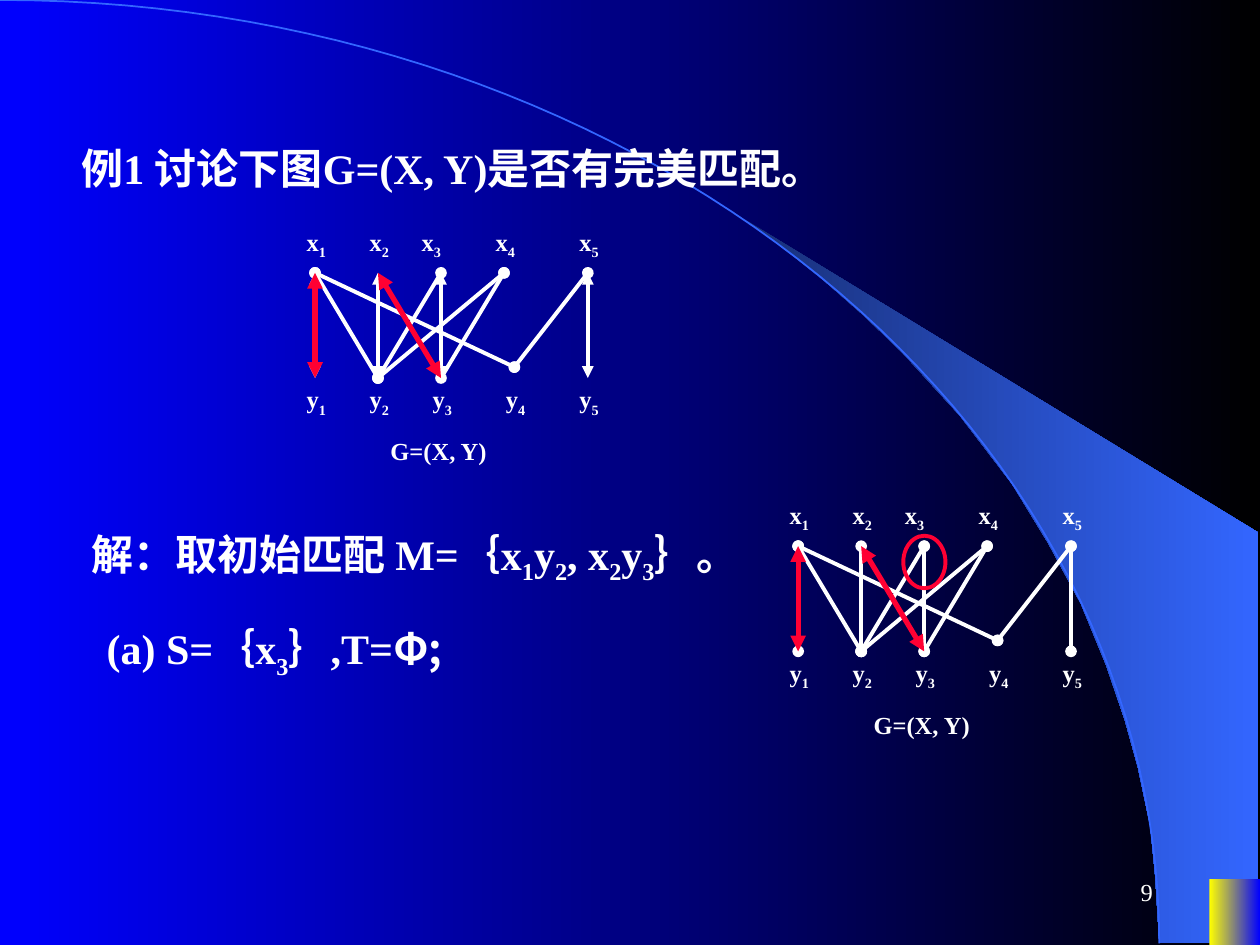
from lxml import etree
from pptx import Presentation
from pptx.dml.color import RGBColor
from pptx.enum.shapes import MSO_CONNECTOR, MSO_SHAPE
from pptx.enum.text import MSO_ANCHOR, PP_ALIGN
from pptx.oxml.ns import qn
from pptx.util import Cm, Pt

STRAIGHT = MSO_CONNECTOR.STRAIGHT
RECTANGLE, OVAL = MSO_SHAPE.RECTANGLE, MSO_SHAPE.OVAL
TOP, MIDDLE = MSO_ANCHOR.TOP, MSO_ANCHOR.MIDDLE
LEFT, RIGHT = PP_ALIGN.LEFT, PP_ALIGN.RIGHT

SERIF, CJK = "Times New Roman", "Noto Sans CJK SC"
WHITE, RED, BLUE, SKY = "FFFFFF", "FF0033", "0000FF", "3366FF"

# Node positions relative to x1, in cm
COLUMNS = [0, 1.27, 2.54, 3.81, 5.5]
ROW_GAP = 2.12
NODES = {f"x{i}": (x, 0) for i, x in enumerate(COLUMNS, 1)}
NODES |= {f"y{i}": (x, ROW_GAP) for i, x in enumerate(COLUMNS, 1)}
NODES["y4"] = (4.02, 1.9)

VERTICAL_EDGES = ["x1y1", "x2y2", "x3y3", "x5y5"]
SLANTED_EDGES = ["x1y2", "y2x3", "x5y4", "x1y4", "x4y3", "x4y2"]
MATCHING = ["x2y3", "x1y1"]

SWEEP = [(23.37, 19), (25.37, 19.02), (25.37, 10.74), (14.96, 4.39),
         (15.85, 5.05), (16.59, 5.64), (17.4, 6.35), (18.19, 7.11),
         (19.35, 8.38), (20.4, 9.75), (21.13, 10.95), (21.79, 12.17),
         (22.3, 13.41), (22.68, 14.53), (22.94, 15.47), (23.19, 16.66),
         (23.29, 17.68)]
ARC_CONTROLS = [(0, 0), (12.9, 0), (23.37, 8.51), (23.37, 19.02)]


def color(value):
    return RGBColor.from_string(value)


def fill_gradient(fill, start, end):
    fill.gradient()
    fill.gradient_angle = 0
    for stop, value in zip(fill.gradient_stops, (start, end)):
        stop.color.rgb = color(value)


def bezier(points, steps=60):
    """Points along a cubic curve."""
    def at(t):
        weights = ((1 - t) ** 3, 3 * t * (1 - t) ** 2, 3 * t * t * (1 - t), t ** 3)
        return tuple(sum(w * p[axis] for w, p in zip(weights, points))
                     for axis in (0, 1))
    return [at(i / steps) for i in range(steps + 1)]


def add_outline(shapes, points, closed):
    corners = [(Cm(x), Cm(y)) for x, y in points]
    builder = shapes.build_freeform(*corners[0])
    builder.add_line_segments(corners[1:], close=closed)
    outline = builder.convert_to_shape()
    outline.shadow.inherit = False
    return outline


def add_runs(paragraph, text, size=14, bold=True, font=SERIF):
    """Add text; the character after each underscore is a subscript."""
    first, *rest = text.split("_")
    pieces = [(first, False)]
    for part in rest:
        pieces += [(part[0], True), (part[1:], False)]
    for piece, is_subscript in pieces:
        if not piece:
            continue
        run = paragraph.add_run()
        run.text = piece
        run.font.size, run.font.bold, run.font.name = Pt(size), bold, font
        run.font.color.rgb = color(WHITE)
        properties = run._r.get_or_add_rPr()
        etree.SubElement(properties, qn("a:ea")).set("typeface", CJK)
        if is_subscript:
            properties.set("baseline", "-25000")


def set_text(box, text, align=LEFT, anchor=TOP, indent=0.25, **run_format):
    frame = box.text_frame
    frame.word_wrap = True
    frame.vertical_anchor = anchor
    frame.margin_left, frame.margin_right = Cm(indent), Cm(0.25)
    frame.margin_top = frame.margin_bottom = Cm(0.13)
    paragraph = frame.paragraphs[0]
    paragraph.alignment = align
    add_runs(paragraph, text, **run_format)
    return paragraph


def add_label(shapes, left, top, width, height, text, **text_format):
    box = shapes.add_textbox(Cm(left), Cm(top), Cm(width), Cm(height))
    return set_text(box, text, **text_format)


def add_edge(shapes, start, end, line_color, width, ends):
    edge = shapes.add_connector(STRAIGHT, *(Cm(v) for v in (*start, *end)))
    edge.line.color.rgb = color(line_color)
    edge.line.width = Pt(width)
    line = edge.line._get_or_add_ln()
    for tag in ("a:headEnd", "a:tailEnd"):
        etree.SubElement(line, qn(tag)).set("type", ends)
    etree.SubElement(edge._element.spPr, qn("a:effectLst"))


def add_graph(slide, left, top, vertical_ends):
    shapes = slide.shapes.add_group_shape().shapes

    def node(name):
        x, y = NODES[name]
        return left + x, top + y

    for edges, line_color, width, ends in (
            (VERTICAL_EDGES, WHITE, 2.25, vertical_ends),
            (SLANTED_EDGES, WHITE, 2.25, "oval"),
            (MATCHING, RED, 3, "triangle")):
        for edge in edges:
            add_edge(shapes, node(edge[:2]), node(edge[2:]), line_color, width, ends)

    # Vertex labels stand in one row above and one below
    for name, (x, _) in NODES.items():
        shift = 0.64 if name == "x3" else 0.42
        label_top = top - 1.06 if name[0] == "x" else top + ROW_GAP
        add_label(shapes, left + x - shift, label_top, 1.09, 0.94,
                  f"{name[0]}_{name[1]}")
    add_label(shapes, left + 1.27, top + 3.17, 2.79, 0.86, "G=(X, Y)")
    return shapes


def add_backdrop(slide):
    fill_gradient(slide.background.fill, BLUE, "000000")
    sweep = add_outline(slide.shapes, SWEEP, closed=True)
    fill_gradient(sweep.fill, "182F76", SKY)
    sweep.line.fill.background()
    arc = add_outline(slide.shapes, bezier(ARC_CONTROLS), closed=False)
    arc.fill.background()
    arc.line.color.rgb = color(SKY)
    arc.line.width = Pt(1)
    corner = slide.shapes.add_shape(RECTANGLE, Cm(24.38), Cm(17.73), Cm(1.02), Cm(1.32))
    corner.shadow.inherit = False
    fill_gradient(corner.fill, "FFFF00", BLUE)
    corner.line.fill.background()


def main():
    presentation = Presentation()
    presentation.slide_width, presentation.slide_height = Cm(25.4), Cm(19.05)
    slide = presentation.slides.add_slide(presentation.slide_layouts[5])
    add_backdrop(slide)

    # Page number
    add_label(slide.shapes, 18.21, 17.35, 5.28, 1.27, "9",
              align=RIGHT, anchor=MIDDLE, bold=False)

    # Problem statement, drawn above the backdrop
    problem = slide.shapes.title
    problem.left, problem.top = Cm(0.43), Cm(2.74)
    problem.width, problem.height = Cm(23.7), Cm(1.27)
    set_text(problem, "例1 讨论下图G=(X, Y)是否有完美匹配。",
             anchor=MIDDLE, indent=1.21, size=24)
    slide.shapes._spTree.append(problem._element)

    add_graph(slide, 6.35, 5.5, "triangle")

    # Solution steps
    step_format = {"anchor": MIDDLE, "size": 24}
    add_label(slide.shapes, 0.64, 10.52, 23.7, 1.42,
              "解：取初始匹配 M=｛x_1y_2, x_2y_3｝。", indent=1.21, **step_format)
    step_a = add_label(slide.shapes, 0.84, 12.42, 23.7, 1.42,
                       "(a) S=｛x_3｝,T=", indent=1.31, **step_format)
    add_runs(step_a, "Φ;", size=24, font=CJK)

    # Second graph with the unmatched vertex x3 circled
    matched = add_graph(slide, 16.09, 11.01, "oval")
    circle = matched.add_shape(OVAL, Cm(18.21), Cm(10.8), Cm(0.85), Cm(1.06))
    circle.shadow.inherit = False
    circle.fill.background()
    circle.line.color.rgb = color(RED)
    circle.line.width = Pt(2.25)

    presentation.save("out.pptx")


if __name__ == "__main__":
    main()
